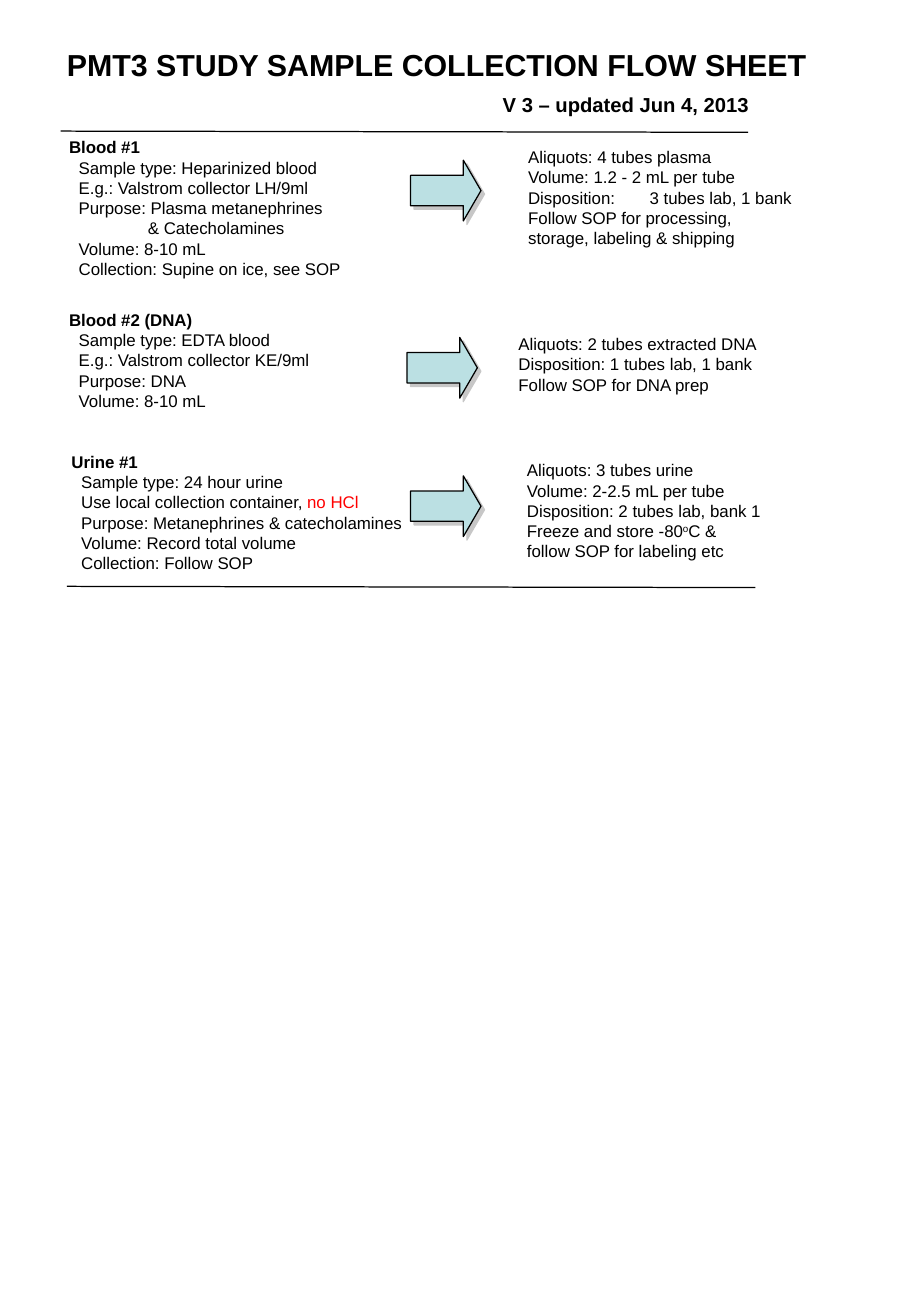
from dataclasses import dataclass

from lxml import etree
from pptx import Presentation
from pptx import util as u
from pptx.dml.color import RGBColor
from pptx.enum import shapes, text
from pptx.oxml import parse_xml
from pptx.oxml.ns import nsdecls, qn


@dataclass(frozen=True)
class Theme:
    font: str = "Arial"
    ink: str = "000000"
    alert: str = "FF0000"
    arrow: str = "BBE0E3"
    shadow: str = "808080"
    title: int = 18
    version: int = 12
    body: int = 10
    rule: float = 0.75


THEME = Theme()
COLS, ROWS = 75, 108.4  # grid of the page
WIDTH, HEIGHT = u.Inches(7.5), u.Inches(10.84)
DETAIL, CONTINUED = 0.08, 0.65  # paragraph indents in inches


def grid(left, top, width, height):
    return (round(left * WIDTH / COLS), round(top * HEIGHT / ROWS),
            round(width * WIDTH / COLS), round(height * HEIGHT / ROWS))


def write(paragraph, words, size=THEME.body, bold=False, color=THEME.ink,
          indent=0, tab=None, raised=False):
    """Add one run to a paragraph, with its format."""
    if indent or tab:
        props = paragraph._p.get_or_add_pPr()
        props.set("marL", str(u.Inches(indent)))
        props.set("indent", "0")
        if tab:
            stops = etree.SubElement(props, qn("a:tabLst"))
            etree.SubElement(stops, qn("a:tab"), pos=str(u.Inches(tab)), algn="l")
    paragraph.alignment = text.PP_ALIGN.LEFT
    run = paragraph.add_run()
    run.text = words
    run.font.name, run.font.size, run.font.bold = THEME.font, u.Pt(size), bold
    run.font.color.rgb = RGBColor.from_string(color)
    if raised:
        run.font._element.set("baseline", "30000")


def set_frame(shape, box):
    shape.left, shape.top, shape.width, shape.height = grid(*box)
    frame = shape.text_frame
    frame.word_wrap = True
    frame.auto_size = text.MSO_AUTO_SIZE.NONE
    frame.vertical_anchor = text.MSO_ANCHOR.TOP
    return frame


def add_lines(slide, box, lines):
    """Each line is a list of (words, format) runs."""
    frame = set_frame(slide.shapes.add_textbox(0, 0, 0, 0), box)
    for number, runs in enumerate(lines):
        paragraph = frame.add_paragraph() if number else frame.paragraphs[0]
        for words, style in runs:
            write(paragraph, words, **style)


def add_rule(slide, left, top, width):
    x, y, w, h = grid(left, top, width, 0.1)
    rule = slide.shapes.add_connector(shapes.MSO_CONNECTOR.STRAIGHT, x, y, x + w, y + h)
    rule.line.color.rgb = RGBColor.from_string(THEME.ink)
    rule.line.width = u.Pt(THEME.rule)
    etree.SubElement(rule._element.spPr, qn("a:effectLst"))


def add_arrow(slide, box):
    arrow = slide.shapes.add_shape(shapes.MSO_SHAPE.RIGHT_ARROW, *grid(*box))
    arrow.adjustments[0], arrow.adjustments[1] = 0.5, 0.29
    arrow.fill.solid()
    arrow.fill.fore_color.rgb = RGBColor.from_string(THEME.arrow)
    arrow.line.color.rgb = RGBColor.from_string(THEME.ink)
    arrow.line.width = u.Pt(THEME.rule)
    arrow._element.spPr.append(parse_xml(
        f'<a:effectLst {nsdecls("a")}><a:outerShdw dist="38100" dir="2700000" '
        f'algn="ctr" rotWithShape="0"><a:srgbClr val="{THEME.shadow}">'
        '<a:alpha val="43000"/></a:srgbClr></a:outerShdw></a:effectLst>'))


def add_header(slide, left, top):
    title = set_frame(slide.shapes.title, (left, top, 66, 4))
    write(title.paragraphs[0], "PMT3 STUDY SAMPLE COLLECTION FLOW SHEET",
          size=THEME.title, bold=True)
    add_lines(slide, (left + 35.9, top + 3.8, 24.1, 3),
              [[("V 3 – updated Jun 4, 2013", {"size": THEME.version, "bold": True})]])


def add_sample(slide, box, name, details, arrow_offset, aliquot_offset, aliquots):
    """Collection details, arrow, then what becomes of the sample."""
    left, top, width, height = box
    heading = [(name, {"bold": True})]
    add_lines(slide, (left, top, width, height), [heading, *details])
    add_arrow(slide, (left + arrow_offset[0], top + arrow_offset[1], 5.8, 5))
    add_lines(slide, (left + aliquot_offset[0], top + aliquot_offset[1], 25, 9.4), aliquots)


def plain(*lines):
    return [[(line, {})] for line in lines]


def detail(*lines):
    return [[(line, {"indent": DETAIL})] for line in lines]


def main():
    deck = Presentation()
    deck.slide_width, deck.slide_height = WIDTH, HEIGHT
    slide = deck.slides.add_slide(deck.slide_layouts[5])

    # Title and version between page top and first rule
    add_header(slide, 4.5, 3.3)
    add_rule(slide, 5, 10.8, 56.6)

    # Plasma sample
    add_sample(
        slide, (4.7, 10.8, 28, 12.7), "Blood #1",
        detail("Sample type: Heparinized blood", "E.g.: Valstrom collector LH/9ml",
               "Purpose: Plasma metanephrines")
        + [[("& Catecholamines", {"indent": CONTINUED})]]
        + detail("Volume: 8-10 mL", "Collection: Supine on ice, see SOP"),
        (29.1, 2.4), (37.8, 0.8),
        plain("Aliquots: 4 tubes plasma", "Volume: 1.2 - 2 mL per tube")
        + [[("Disposition:\t3 tubes lab, 1 bank", {"tab": 0.83})]]
        + plain("Follow SOP for processing,", "storage, labeling & shipping"))

    # DNA sample
    add_sample(
        slide, (4.7, 25, 28, 9.4), "Blood #2 (DNA)",
        detail("Sample type: EDTA blood", "E.g.: Valstrom collector KE/9ml",
               "Purpose: DNA", "Volume: 8-10 mL"),
        (28.8, 2.8), (37, 2),
        plain("Aliquots: 2 tubes extracted DNA", "Disposition: 1 tubes lab, 1 bank",
              "Follow SOP for DNA prep"))

    # Urine sample
    add_sample(
        slide, (4.9, 36.7, 30, 11), "Urine #1",
        detail("Sample type: 24 hour urine")
        + [[("Use local collection container, ", {"indent": DETAIL}),
            ("no HCl", {"color": THEME.alert})]]
        + detail("Purpose: Metanephrines & catecholamines",
                 "Volume: Record total volume", "Collection: Follow SOP"),
        (28.9, 2.5), (37.5, 0.7),
        plain("Aliquots: 3 tubes urine", "Volume: 2-2.5 mL per tube",
              "Disposition: 2 tubes lab, bank 1")
        + [[("Freeze and store -80", {}), ("o", {"raised": True}), ("C &", {})]]
        + plain("follow SOP for labeling etc"))
    add_rule(slide, 5.5, 48.3, 56.7)

    deck.save("out.pptx")


if __name__ == "__main__":
    main()
